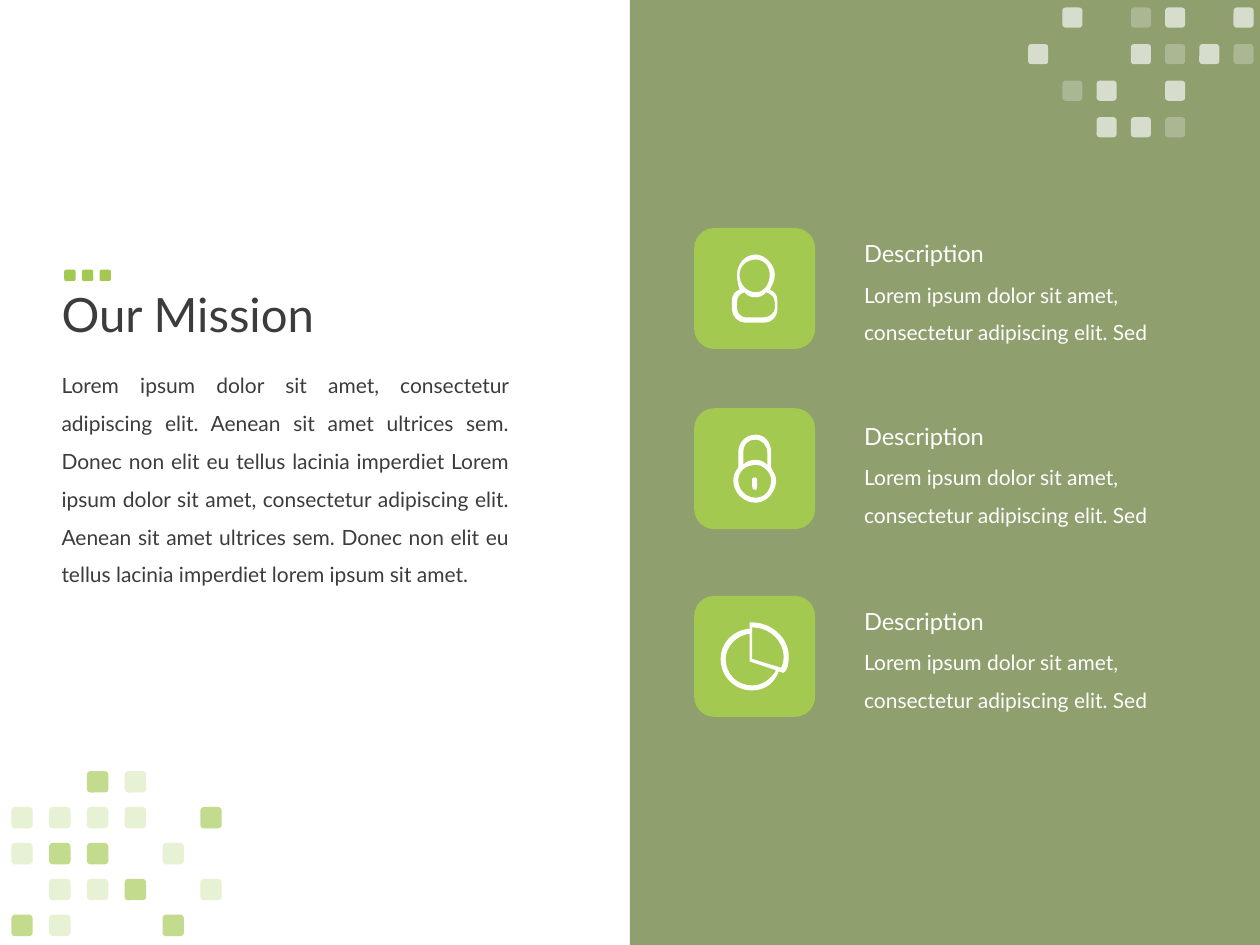
from pptx import Presentation
from pptx.dml.color import RGBColor
from pptx.enum.shapes import MSO_SHAPE as Shape
from pptx.enum.text import MSO_ANCHOR as Anchor, PP_ALIGN as Align
from pptx.oxml.xmlchemy import OxmlElement
from pptx.util import Inches, Pt

GREEN, OLIVE, WHITE, DARK = "A3C951", "546C21", "FFFFFF", "3C3C3C"
LOREM = "Lorem ipsum dolor sit amet, consectetur adipiscing elit."


def paint(shape, color, opacity=100):
    shape.shadow.inherit = False
    shape.line.fill.background()
    shape.fill.solid()
    shape.fill.fore_color.rgb = RGBColor.from_string(color)
    if opacity < 100:
        alpha = OxmlElement("a:alpha")
        alpha.set("val", str(opacity * 1000))
        shape.fill._xPr.find(".//{*}srgbClr").append(alpha)


def add_text(box, text, size, color, anchor=Anchor.TOP, **paragraph_format):
    frame = slide.shapes.add_textbox(*map(Inches, box)).text_frame
    frame.word_wrap = True
    frame.vertical_anchor = anchor
    paragraph = frame.paragraphs[0]
    for name, value in paragraph_format.items():
        setattr(paragraph, name, value)
    run = paragraph.add_run()
    run.text = text
    for name, value in {"name": "Lato", "size": Pt(size)}.items():
        setattr(run.font, name, value)
    run.font.color.rgb = RGBColor.from_string(color)


presentation = Presentation()
presentation.slide_width, presentation.slide_height = Inches(10), Inches(7.5)
slide = presentation.slides.add_slide(presentation.slide_layouts[6])

add_text((0.39, 1.68, 8.62, 1.67), "Our Mission", 27, DARK, Anchor.MIDDLE, line_spacing=0.9)
panel = slide.shapes.add_shape(Shape.RECTANGLE, Inches(5), 0, Inches(5), Inches(7.5))
paint(panel, OLIVE, 65)
mission = (f"{LOREM} Aenean sit amet ultrices sem. Donec non elit eu tellus lacinia imperdiet "
           f"{LOREM} Aenean sit amet ultrices sem. Donec non elit eu tellus lacinia imperdiet "
           "lorem ipsum sit amet.")
add_text((0.39, 2.81, 3.75, 1.88), mission, 12, DARK, line_spacing=1.5, alignment=Align.JUSTIFY)

person = [
    [(6.11, 2.3), (6.13, 2.26, 6.15, 2.23, 6.15, 2.18), (6.15, 2.1, 6.07, 2.02, 6, 2.02),
     (5.91, 2.02, 5.85, 2.1, 5.85, 2.18), (5.85, 2.23, 5.86, 2.26, 5.87, 2.3),
     (5.83, 2.31, 5.81, 2.35, 5.81, 2.38), (5.81, 2.46), (5.81, 2.51, 5.86, 2.56, 5.91, 2.56),
     (6.07, 2.56), (6.13, 2.56, 6.17, 2.51, 6.17, 2.46), (6.17, 2.38),
     (6.17, 2.35, 6.15, 2.31, 6.11, 2.3)],
    [(5.87, 2.18), (5.87, 2.11, 5.93, 2.06, 6, 2.06), (6.06, 2.06, 6.11, 2.11, 6.11, 2.18),
     (6.11, 2.26, 6.06, 2.32, 6, 2.32), (5.93, 2.32, 5.87, 2.26, 5.87, 2.18)],
    [(6.15, 2.45), (6.15, 2.48, 6.11, 2.52, 6.06, 2.52), (5.92, 2.52),
     (5.88, 2.52, 5.85, 2.48, 5.85, 2.45), (5.85, 2.4), (5.85, 2.36, 5.87, 2.33, 5.91, 2.32),
     (5.93, 2.35, 5.96, 2.36, 6, 2.36), (6.02, 2.36, 6.06, 2.35, 6.08, 2.32),
     (6.12, 2.33, 6.15, 2.36, 6.15, 2.4)],
]
padlock = [
    [(6, 3.79), (5.98, 3.79, 5.97, 3.79, 5.97, 3.8), (5.97, 3.86),
     (5.97, 3.88, 5.98, 3.89, 6, 3.89), (6, 3.89, 6.01, 3.88, 6.01, 3.86), (6.01, 3.8),
     (6.01, 3.79, 6, 3.79, 6, 3.79)],
    [(6.12, 3.71), (6.12, 3.59), (6.12, 3.51, 6.07, 3.45, 6, 3.45),
     (5.92, 3.45, 5.86, 3.51, 5.86, 3.59), (5.86, 3.71), (5.83, 3.75, 5.82, 3.78, 5.82, 3.81),
     (5.82, 3.91, 5.9, 3.99, 6, 3.99), (6.08, 3.99, 6.16, 3.91, 6.16, 3.81),
     (6.16, 3.78, 6.14, 3.75, 6.12, 3.71)],
    [(5.9, 3.59), (5.9, 3.53, 5.93, 3.49, 6, 3.49), (6.04, 3.49, 6.09, 3.53, 6.09, 3.59),
     (6.09, 3.69), (6.06, 3.66, 6.03, 3.65, 6, 3.65), (5.96, 3.65, 5.92, 3.66, 5.9, 3.69)],
    [(6, 3.95), (5.92, 3.95, 5.86, 3.89, 5.86, 3.81), (5.86, 3.74, 5.92, 3.69, 6, 3.69),
     (6.06, 3.69, 6.12, 3.75, 6.12, 3.81), (6.12, 3.89, 6.07, 3.95, 6, 3.95)],
]
pie = [
    [(5.97, 4.94), (5.95, 4.94), (5.95, 4.99), (5.82, 5, 5.72, 5.1, 5.72, 5.23),
     (5.72, 5.37, 5.83, 5.48, 5.97, 5.48), (6.07, 5.48, 6.15, 5.42, 6.18, 5.33), (6.22, 5.34),
     (6.25, 5.32, 6.26, 5.27, 6.26, 5.21), (6.26, 5.06, 6.12, 4.94, 5.97, 4.94)],
    [(5.97, 5.44), (5.85, 5.44, 5.76, 5.35, 5.76, 5.23), (5.76, 5.13, 5.85, 5.04, 5.95, 5.03),
     (5.95, 5.25), (6.16, 5.32), (6.12, 5.39, 6.05, 5.44, 5.97, 5.44)],
    [(6.2, 5.3), (5.97, 5.23), (5.97, 4.98), (6.11, 4.98, 6.22, 5.09, 6.22, 5.21),
     (6.22, 5.25, 6.21, 5.28, 6.2, 5.3)],
]

icons = [(1.81, 1.85, person), (3.24, 3.3, padlock), (4.73, 4.77, pie)]
for tile_top, text_top, contours in icons:
    tile = slide.shapes.add_shape(Shape.ROUNDED_RECTANGLE, Inches(5.51), Inches(tile_top),
                                  Inches(0.96), Inches(0.96))
    paint(tile, GREEN)
    add_text((6.76, text_top + 0.24, 2.98, 0.67), f"{LOREM} Sed", 12, WHITE, line_spacing=1.5)
    add_text((6.76, text_top, 1.76, 0.33), "Description", 13.5, WHITE)

    builder = slide.shapes.build_freeform(*map(Inches, contours[0][0]))
    segments = []
    for start, *parts in contours:
        if segments:
            builder.move_to(*map(Inches, start))
        corners = [tuple(map(Inches, part[-2:])) for part in parts]
        builder.add_line_segments(corners, close=True)
        segments += parts
    icon = builder.convert_to_shape()
    paint(icon, WHITE)

    for line, segment in zip(icon.element.findall(".//{*}lnTo"), segments):
        if len(segment) == 6:
            curve = OxmlElement("a:cubicBezTo")
            for x, y in zip(segment[::2], segment[1::2]):
                point = OxmlElement("a:pt")
                point.set("x", str(Inches(x) - icon.left))
                point.set("y", str(Inches(y) - icon.top))
                curve.append(point)
            line.getparent().replace(line, curve)

square_patterns = [
    (0.51, 0.79, 2.14, 2.14, 0.09, GREEN, ["@@@"]),
    (8.16, 9.79, 0.06, 0.93, 0.16, WHITE, [".#.o#.#", "#..#o#o", ".o#.#..", "..##o.."]),
    (0.09, 1.59, 6.12, 7.26, 0.17, GREEN, ["..#o..", "oooo.#", "o##.o.", ".oo#.o", "#o..#."]),
]
opacities = {"@": 100, "#": 65, "o": 25}
for left, last_left, top, last_top, side, color, rows in square_patterns:
    group = slide.shapes.add_group_shape()
    x_step = (last_left - left) / (len(rows[0]) - 1)
    y_step = (last_top - top) / max(len(rows) - 1, 1)
    for row, marks in enumerate(rows):
        for column, mark in enumerate(marks):
            if mark in opacities:
                square = group.shapes.add_shape(
                    Shape.ROUNDED_RECTANGLE, Inches(left + column * x_step),
                    Inches(top + row * y_step), Inches(side), Inches(side))
                paint(square, color, opacities[mark])

presentation.save("out.pptx")
